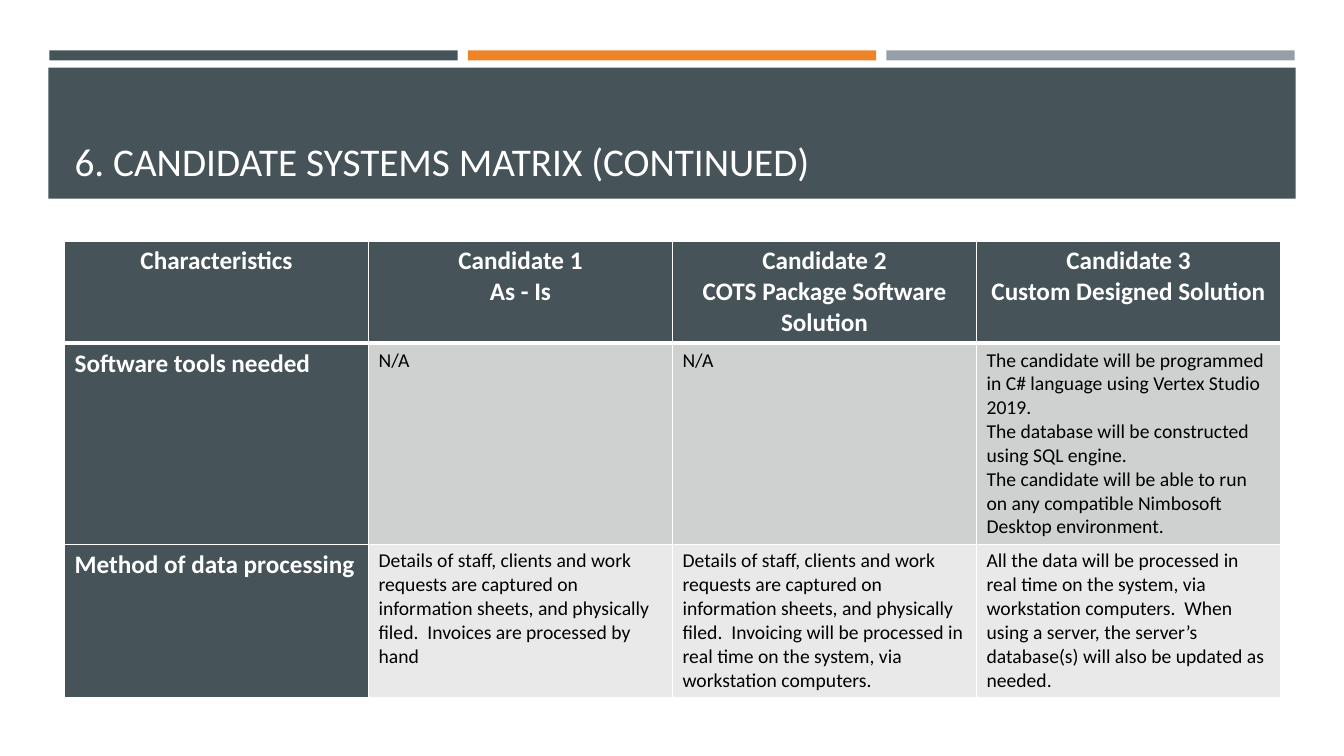
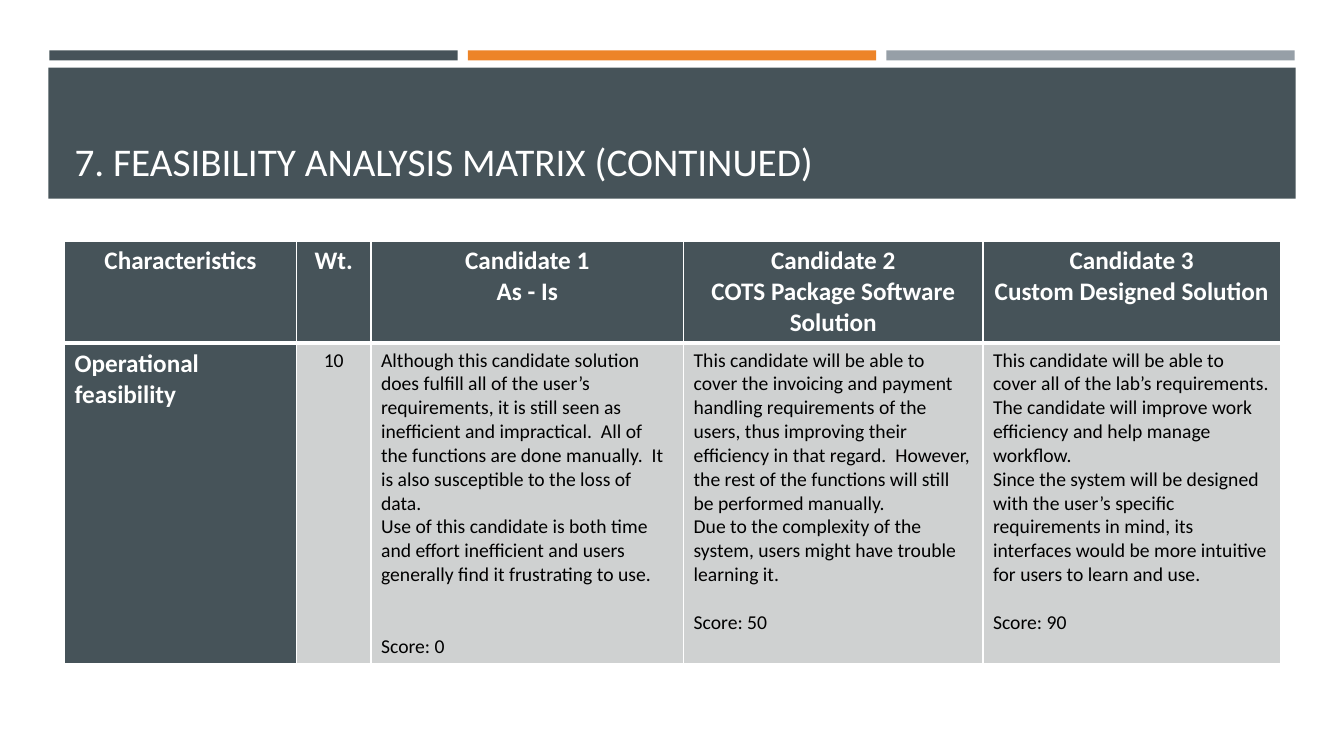
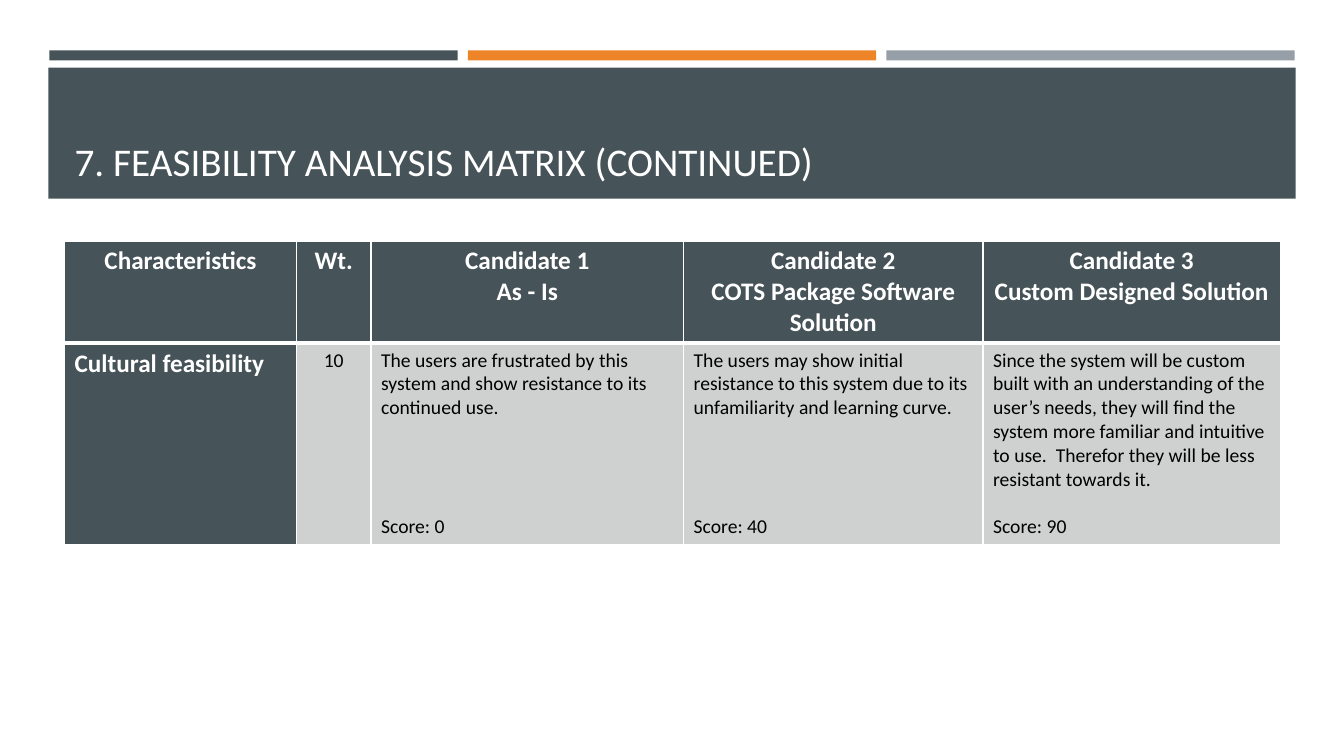
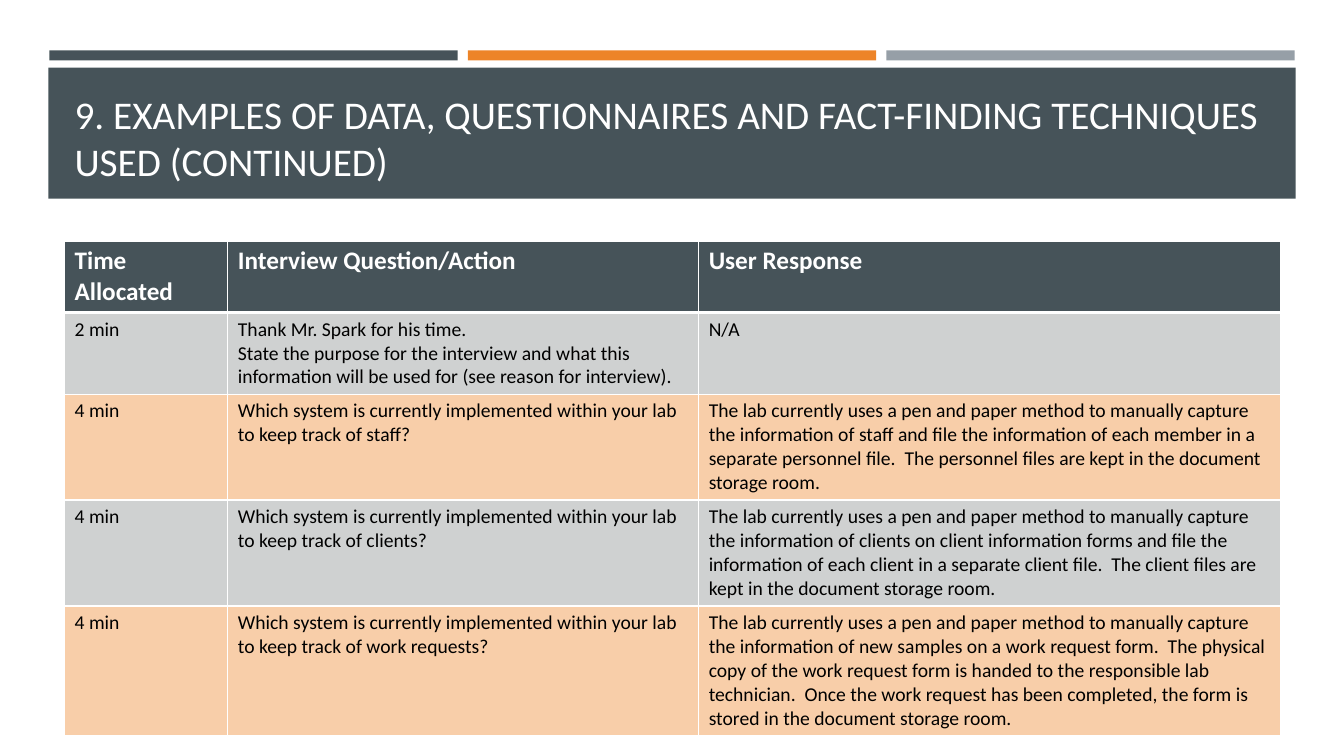
from dataclasses import dataclass
from itertools import cycle

from lxml.etree import SubElement
from pptx import Presentation
from pptx.dml.color import RGBColor
from pptx.enum.shapes import MSO_SHAPE
from pptx.enum.text import MSO_ANCHOR, MSO_AUTO_SIZE, PP_ALIGN
from pptx.oxml.ns import qn
from pptx.util import Inches, Pt


@dataclass(frozen=True)
class Theme:
    font: str = "Calibri"
    slate: str = "465359"
    orange: str = "ED8428"
    steel: str = "969FA7"
    white: str = "FFFFFF"
    black: str = "000000"
    grey: str = "CFD1D1"
    pale_grey: str = "E9E9EA"
    peach: str = "F8CEA9"
    title_size: int = 28
    head_size: int = 18
    body_size: int = 14
    body_line: int = 17
    rule: int = 1
    head_rule: int = 3


@dataclass(frozen=True)
class Box:
    left: float
    top: float
    width: float
    height: float

    def lengths(self):
        return [Inches(v) for v in (self.left, self.top, self.width, self.height)]


THEME = Theme()
STRIPS = Box(0.49, 0.5, 12.35, 0.1)
BANNER = Box(0.48, 0.67, 12.37, 1.3)
TITLE = Box(0.64, 0.77, 12.06, 1.11)
TABLE_LEFT, TABLE_TOP = 0.64, 2.39


def write_text(frame, text, *, size, color, bold=False, align=PP_ALIGN.LEFT, last_gap=0):
    """Write one paragraph per line; last_gap is the space before the last one."""
    frame.word_wrap = True
    lines = text.split("\n")
    for index, line in enumerate(lines):
        paragraph = frame.paragraphs[0] if index == 0 else frame.add_paragraph()
        paragraph.alignment = align
        if last_gap and index == len(lines) - 1:
            paragraph.space_before = Pt(last_gap)
        run = paragraph.add_run()
        run.text = line
        run.font.name = THEME.font
        run.font.size = Pt(size)
        run.font.bold = bold
        run.font.color.rgb = RGBColor.from_string(color)


def add_bar(slide, box, color):
    bar = slide.shapes.add_shape(MSO_SHAPE.RECTANGLE, *box.lengths())
    bar.shadow.inherit = False
    bar.fill.solid()
    bar.fill.fore_color.rgb = RGBColor.from_string(color)
    bar.line.fill.background()
    return bar


def add_bands(slide, strips, banner):
    """Draw the strips and the title banner, and move them to the slide's layout."""
    gap = 0.1
    width = (strips.width - 2 * gap) / 3
    bars = [add_bar(slide, banner, THEME.slate)]
    for index, color in enumerate((THEME.slate, THEME.orange, THEME.steel)):
        left = strips.left + index * (width + gap)
        bars.append(add_bar(slide, Box(left, strips.top, width, strips.height), color))
    layout_tree = slide.slide_layout.shapes.element
    for number, bar in enumerate(bars, start=101):
        bar.element.nvSpPr.cNvPr.set("id", str(number))
        layout_tree.insert(2, bar.element)


def add_title(slide, text, box):
    title = slide.shapes.title
    title.left, title.top, title.width, title.height = box.lengths()
    frame = title.text_frame
    frame.auto_size = MSO_AUTO_SIZE.NONE
    frame.vertical_anchor = MSO_ANCHOR.BOTTOM
    write_text(frame, text, size=THEME.title_size, color=THEME.white)


def set_borders(cell, top, bottom):
    """Draw white borders; they come before the fill in the cell's XML."""
    properties = cell._tc.get_or_add_tcPr()
    sides = {"L": THEME.rule, "R": THEME.rule, "T": top, "B": bottom}
    for index, (side, width) in enumerate(sides.items()):
        line = SubElement(properties, qn(f"a:ln{side}"), w=str(Pt(width)))
        fill = SubElement(line, qn("a:solidFill"))
        SubElement(fill, qn("a:srgbClr"), val=THEME.white)
        properties.insert(index, line)


def add_matrix(slide, left, top, *, columns, heights, rows, stripes,
               head_align=PP_ALIGN.CENTER, row_labels=True, centred=()):
    """Add a table with a dark header and, if row_labels, a dark first column."""
    box = Box(left, top, sum(columns), sum(heights))
    table = slide.shapes.add_table(len(rows), len(columns), *box.lengths()).table
    table.first_row = table.horz_banding = False
    for column, width in zip(table.columns, columns):
        column.width = Inches(width)
    for row, height in zip(table.rows, heights):
        row.height = Inches(height)

    stripe = cycle(stripes)
    for r, contents in enumerate(rows):
        body_fill = THEME.slate if r == 0 else next(stripe)
        for c, content in enumerate(contents):
            text, blank_lines = content if isinstance(content, tuple) else (content, 0)
            dark = r == 0 or (row_labels and c == 0)
            align = PP_ALIGN.CENTER if c in centred else PP_ALIGN.LEFT
            cell = table.cell(r, c)
            cell.fill.solid()
            cell.fill.fore_color.rgb = RGBColor.from_string(
                THEME.slate if dark else body_fill)
            set_borders(cell,
                        top=THEME.head_rule if r == 1 else THEME.rule,
                        bottom=THEME.head_rule if r == 0 else THEME.rule)
            write_text(cell.text_frame, text, bold=dark,
                       size=THEME.head_size if dark else THEME.body_size,
                       color=THEME.white if dark else THEME.black,
                       align=head_align if r == 0 else align,
                       last_gap=blank_lines * THEME.body_line)


# Content
CANDIDATES = [
    "Candidate 1\nAs - Is",
    "Candidate 2\nCOTS Package Software Solution",
    "Candidate 3\nCustom Designed Solution",
]
SYSTEMS = [
    ["Characteristics", *CANDIDATES],
    ["Software tools needed", "N/A", "N/A",
     "The candidate will be programmed in C# language using Vertex Studio 2019.\n"
     "The database will be constructed using SQL engine.\n"
     "The candidate will be able to run on any compatible Nimbosoft Desktop environment."],
    ["Method of data processing",
     "Details of staff, clients and work requests are captured on information sheets, "
     "and physically filed.  Invoices are processed by hand",
     "Details of staff, clients and work requests are captured on information sheets, "
     "and physically filed.  Invoicing will be processed in real time on the system, "
     "via workstation computers.",
     "All the data will be processed in real time on the system, via workstation "
     "computers.  When using a server, the server’s database(s) will also be updated "
     "as needed."],
]
FEASIBILITY_HEAD = ["Characteristics", "Wt.", *CANDIDATES]
# A scored cell holds its text and the blank lines above its score
OPERATIONAL = [
    "Operational feasibility", "10",
    ("Although this candidate solution does fulfill all of the user’s requirements, it is "
     "still seen as inefficient and impractical.  All of the functions are done manually.  "
     "It is also susceptible to the loss of data.\n"
     "Use of this candidate is both time and effort inefficient and users generally find "
     "it frustrating to use.\nScore: 0", 2),
    ("This candidate will be able to cover the invoicing and payment handling requirements "
     "of the users, thus improving their efficiency in that regard.  However, the rest of "
     "the functions will still be performed manually.\n"
     "Due to the complexity of the system, users might have trouble learning it.\n"
     "Score: 50", 1),
    ("This candidate will be able to cover all of the lab’s requirements.\n"
     "The candidate will improve work efficiency and help manage workflow.\n"
     "Since the system will be designed with the user’s specific requirements in mind, its "
     "interfaces would be more intuitive for users to learn and use.\nScore: 90", 1),
]
CULTURAL = [
    "Cultural feasibility", "10",
    ("The users are frustrated by this system and show resistance to its continued use.\n"
     "Score: 0", 4),
    ("The users may show initial resistance to this system due to its unfamiliarity and "
     "learning curve.\nScore: 40", 4),
    ("Since the system will be custom built with an understanding of the user’s needs, "
     "they will find the system more familiar and intuitive to use.  Therefor they will "
     "be less resistant towards it.\nScore: 90", 1),
]
QUESTION = "Which system is currently implemented within your lab to keep track of {}?"
METHOD = "The lab currently uses a pen and paper method to manually capture the information of "
INTERVIEW = [
    ["Time Allocated", "Interview Question/Action", "User Response"],
    ["2 min",
     "Thank Mr. Spark for his time.\n"
     "State the purpose for the interview and what this information will be used for "
     "(see reason for interview).",
     "N/A"],
    ["4 min", QUESTION.format("staff"),
     METHOD + "staff and file the information of each member in a separate personnel file.  "
     "The personnel files are kept in the document storage room."],
    ["4 min", QUESTION.format("clients"),
     METHOD + "clients on client information forms and file the information of each client "
     "in a separate client file.  The client files are kept in the document storage room."],
    ["4 min", QUESTION.format("work requests"),
     METHOD + "new samples on a work request form.  The physical copy of the work request "
     "form is handed to the responsible lab technician.  Once the work request has been "
     "completed, the form is stored in the document storage room."],
]


def feasibility(criterion, height):
    return dict(columns=[2.3, 0.74, 3.1, 2.97, 2.95], heights=[1.01, height],
                rows=[FEASIBILITY_HEAD, criterion], stripes=[THEME.grey], centred={1})


SLIDES = [
    ("6. CANDIDATE SYSTEMS MATRIX (CONTINUED)",
     dict(columns=[3.015] * 4, heights=[1.01, 1.99, 1.52], rows=SYSTEMS,
          stripes=[THEME.grey, THEME.pale_grey])),
    ("7. FEASIBILITY ANALYSIS MATRIX (CONTINUED)", feasibility(OPERATIONAL, 2.94)),
    ("7. FEASIBILITY ANALYSIS MATRIX (CONTINUED)", feasibility(CULTURAL, 1.99)),
    ("9. EXAMPLES OF DATA, QUESTIONNAIRES AND FACT-FINDING TECHNIQUES USED (CONTINUED)",
     dict(columns=[1.62, 4.67, 5.77], heights=[0.71, 0.81, 1.05, 1.05, 1.28],
          rows=INTERVIEW, stripes=[THEME.grey, THEME.peach],
          head_align=PP_ALIGN.LEFT, row_labels=False)),
]


def main():
    deck = Presentation()
    deck.slide_width, deck.slide_height = Inches(13.33), Inches(7.5)
    title_only = deck.slide_layouts[5]
    for number, (title, matrix) in enumerate(SLIDES):
        slide = deck.slides.add_slide(title_only)
        if number == 0:
            add_bands(slide, STRIPS, BANNER)
        add_title(slide, title, TITLE)
        add_matrix(slide, TABLE_LEFT, TABLE_TOP, **matrix)
    deck.save("out.pptx")


if __name__ == "__main__":
    main()
